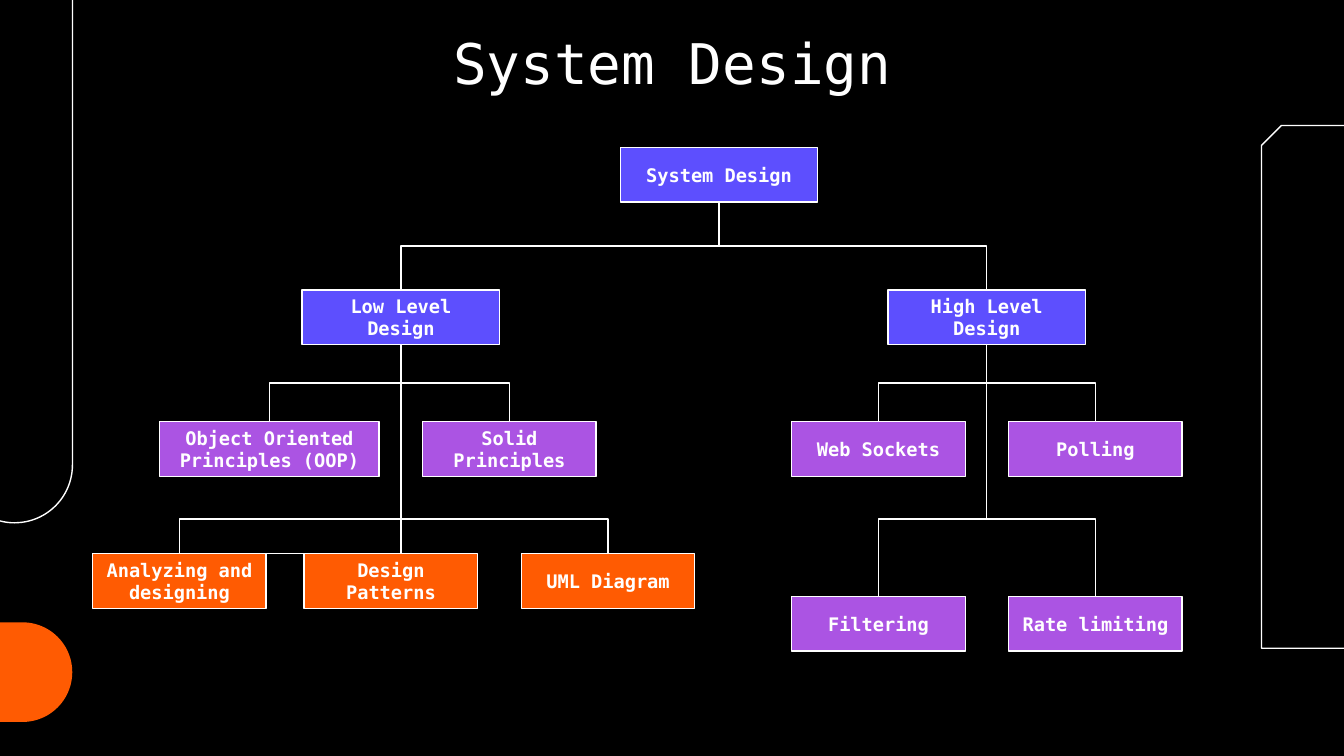
from dataclasses import dataclass

from lxml import etree
from pptx import Presentation
from pptx.dml.color import RGBColor
from pptx.enum.shapes import MSO_CONNECTOR, MSO_SHAPE
from pptx.enum.text import MSO_ANCHOR, PP_ALIGN
from pptx.oxml.ns import qn
from pptx.util import Pt

RECTANGLE = MSO_SHAPE.RECTANGLE
ROUNDED = MSO_SHAPE.ROUNDED_RECTANGLE
SNIPPED = MSO_SHAPE.SNIP_2_DIAG_RECTANGLE
STRAIGHT, ELBOW = MSO_CONNECTOR.STRAIGHT, MSO_CONNECTOR.ELBOW
CENTER = PP_ALIGN.CENTER
TOP, MIDDLE = MSO_ANCHOR.TOP, MSO_ANCHOR.MIDDLE
TOP_SITE, BOTTOM_SITE = 0, 2


@dataclass(frozen=True)
class Theme:
    background = RGBColor.from_string("000000")
    white = RGBColor.from_string("FFFFFF")
    blue = RGBColor.from_string("5D4FFE")
    purple = RGBColor.from_string("AB54E3")
    orange = RGBColor.from_string("FF5B02")
    font = "DejaVu Sans Mono"
    title_size = Pt(30)
    node_size = Pt(10)
    line_width = Pt(0.75)
    inset = Pt(7.2)


THEME = Theme()

# Row offsets from the top of the tree
LEVEL_ROW, TOPIC_ROW, DETAIL_ROW, LAST_ROW = 76.2, 146.9, 217.6, 240.6
JUNCTION = 198.9
NODE_HEIGHT = 29.2
WIDE, NARROW, WIDEST = 105.8, 93, 117.4

# Name: text, centre, top, width, fill
NODES = {
    "root": ("System Design", 335.6, 0, WIDE, THEME.blue),
    "low": ("Low Level Design", 165.2, LEVEL_ROW, WIDE, THEME.blue),
    "high": ("High Level Design", 479, LEVEL_ROW, WIDE, THEME.blue),
    "oop": ("Object Oriented Principles (OOP)", 94.7, TOPIC_ROW, WIDEST, THEME.purple),
    "solid": ("Solid Principles", 223.3, TOPIC_ROW, NARROW, THEME.purple),
    "sockets": ("Web Sockets", 421, TOPIC_ROW, NARROW, THEME.purple),
    "polling": ("Polling", 537.2, TOPIC_ROW, NARROW, THEME.purple),
    "analyzing": ("Analyzing and designing", 46.5, DETAIL_ROW, NARROW, THEME.orange),
    "patterns": ("Design Patterns", 159.8, DETAIL_ROW, NARROW, THEME.orange),
    "uml": ("UML Diagram", 276.1, DETAIL_ROW, NARROW, THEME.orange),
    "filtering": ("Filtering", 421, LAST_ROW, NARROW, THEME.purple),
    "limiting": ("Rate limiting", 537.2, LAST_ROW, NARROW, THEME.purple),
}
CHILDREN = {
    "root": ("low", "high"),
    "low": ("oop", "solid"),
    "high": ("sockets", "polling"),
}
LOWER_CHILDREN = {"low": ("analyzing", "uml"), "high": ("filtering", "limiting")}


def write_text(shape, text, size, bold, anchor):
    frame = shape.text_frame
    frame.word_wrap = True
    frame.vertical_anchor = anchor
    frame.margin_left = frame.margin_right = THEME.inset
    frame.margin_top = frame.margin_bottom = THEME.inset
    paragraph = frame.paragraphs[0]
    paragraph.alignment = CENTER
    run = paragraph.add_run()
    run.text = text
    run.font.name = THEME.font
    run.font.size = size
    run.font.bold = bold
    run.font.color.rgb = THEME.white


def style_line(line):
    line.color.rgb = THEME.white
    line.width = THEME.line_width


def add_box(slide, kind, left, top, width, height, fill=None, outlined=True):
    shape = slide.shapes.add_shape(kind, Pt(left), Pt(top), Pt(width), Pt(height))
    shape.shadow.inherit = False
    if fill is None:
        shape.fill.background()
    else:
        shape.fill.solid()
        shape.fill.fore_color.rgb = fill
    if outlined:
        style_line(shape.line)
    else:
        shape.line.fill.background()
    return shape


def add_line(slide, kind, start, end, preset=None):
    connector = slide.shapes.add_connector(kind, *start, *end)
    style_line(connector.line)
    properties = connector._element.spPr
    etree.SubElement(properties, qn("a:effectLst"))
    if preset:
        properties.find(qn("a:prstGeom")).set("prst", preset)
    return connector


def middle(shape):
    return shape.left + shape.width // 2


def bottom_of(shape):
    return middle(shape), shape.top + shape.height


def top_of(shape):
    return middle(shape), shape.top


def join_child(slide, parent, child):
    """Elbow that leaves the parent downwards and enters the child from above."""
    start, end = bottom_of(parent), top_of(child)
    connector = add_line(slide, ELBOW, start, end)
    connector.begin_connect(parent, BOTTOM_SITE)
    connector.end_connect(child, TOP_SITE)
    across, down = abs(end[0] - start[0]), end[1] - start[1]
    # A turned elbow is stored with its width and height exchanged
    connector.left = (start[0] + end[0] - down) // 2
    connector.top = (start[1] + end[1] - across) // 2
    connector.width, connector.height = down, across
    to_right = end[0] > start[0]
    transform = connector._element.spPr.find(qn("a:xfrm"))
    transform.set("rot", str((270 if to_right else 90) * 60000))
    transform.set("flipH", "1" if to_right else "0")


def add_title(slide, left, top, width, height):
    title = slide.shapes.title
    title.left, title.top = Pt(left), Pt(top)
    title.width, title.height = Pt(width), Pt(height)
    write_text(title, "System Design", THEME.title_size, False, TOP)


def add_decoration(slide, width):
    # Outlines and pill that run off both sides
    frame = add_box(slide, SNIPPED, width - 44.2, 67.3, 63.4, 280)
    frame.adjustments[0], frame.adjustments[1] = 0.167, 0
    pill = add_box(slide, ROUNDED, -51.8, 333.4, 90.5, 53.4, THEME.orange, False)
    pill.adjustments[0] = 0.5
    tube = add_box(slide, ROUNDED, -158.5, 82.8, 332.6, 62)
    tube.adjustments[0] = 0.5
    tube.rotation = 90


def add_tree(slide, left, top):
    # Nodes
    shapes = {}
    for name, (text, center, offset, width, fill) in NODES.items():
        shapes[name] = add_box(slide, RECTANGLE, left + center - width / 2,
                               top + offset, width, NODE_HEIGHT, fill)
        write_text(shapes[name], text, THEME.node_size, True, MIDDLE)

    # Upper branches
    for parent, children in CHILDREN.items():
        for child in children:
            join_child(slide, shapes[parent], shapes[child])

    # Lower branches spread from a junction below each level
    for parent, children in LOWER_CHILDREN.items():
        junction = middle(shapes[parent]), Pt(top + JUNCTION)
        for child in children:
            branch = add_line(slide, ELBOW, junction, top_of(shapes[child]),
                              "bentConnector2")
            branch.end_connect(shapes[child], TOP_SITE)

    # Trunks
    high, low, analyzing = shapes["high"], shapes["low"], shapes["analyzing"]
    trunk = add_line(slide, STRAIGHT, bottom_of(high),
                     (middle(high), Pt(top + JUNCTION)))
    trunk.begin_connect(high, BOTTOM_SITE)
    trunk = add_line(slide, ELBOW, top_of(analyzing), bottom_of(low),
                     "bentConnector2")
    trunk.begin_connect(analyzing, TOP_SITE)
    trunk.end_connect(low, BOTTOM_SITE)


def main():
    presentation = Presentation()
    presentation.slide_width, presentation.slide_height = Pt(720), Pt(405)
    slide = presentation.slides.add_slide(presentation.slide_layouts[5])
    slide.background.fill.solid()
    slide.background.fill.fore_color.rgb = THEME.background
    add_decoration(slide, 720)
    add_title(slide, 56.6, 8, 607, 45.4)
    add_tree(slide, 49.6, 79.1)
    presentation.save("out.pptx")


if __name__ == "__main__":
    main()
